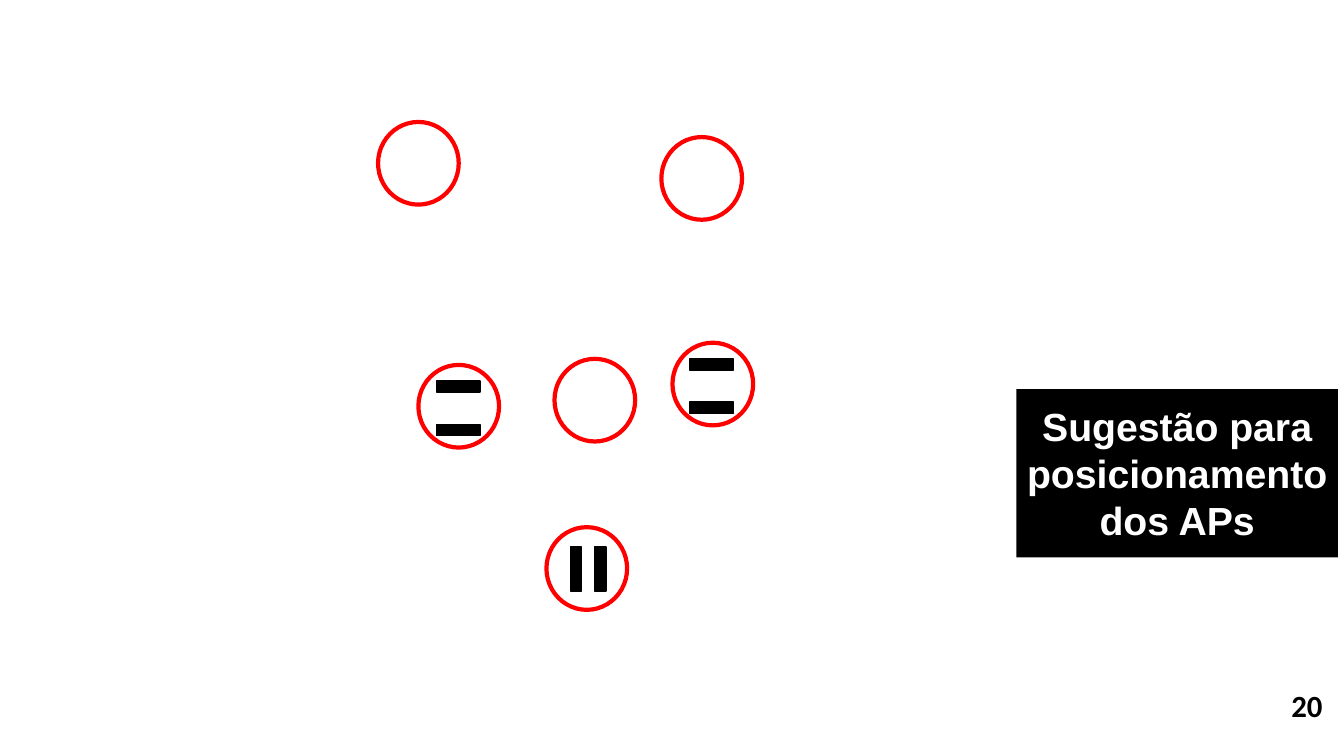
from pptx import Presentation
from pptx import util as u
from pptx.dml.color import RGBColor
from pptx.enum import shapes, text

RED = RGBColor(0xFF, 0, 0)
BLACK = RGBColor(0, 0, 0)
WHITE = RGBColor(0xFF, 0xFF, 0xFF)

RING = (0.8, 0.82)
BAR = (0.59, 0.47)
POINTS = [(4.15, 3.62), (6.67, 3.4), (5.42, 5.23),
          (3.75, 1.21), (5.5, 3.56), (6.56, 1.36)]
PAIRS = [
    {"start": (4.25, 3.6), "step": (0, 0.43), "turn": 180},
    {"start": (6.76, 3.38), "step": (0, 0.43), "turn": 180},
    {"start": (5.42, 5.41), "step": (0.24, 0), "turn": 270},
]
LABEL = {"box": (10.08, 3.86, 3.19, 1.67), "text": "Sugestão para posicionamento dos APs",
         "font": {"name": "Arial", "size": u.Pt(28), "bold": True}, "color": WHITE}
NUMBER = {"box": (12.71, 6.76, 0.79, 0.47), "text": "20",
          "font": {"name": "Calibri", "size": u.Pt(22), "bold": True}, "color": BLACK}

KIND = shapes.MSO_SHAPE


def place(box):
    return [u.Inches(side) for side in box]


def draw(slide, kind, box, fill=None, line=None, width=1):
    shape = slide.shapes.add_shape(kind, *place(box))
    shape.shadow.inherit = False
    if fill is None:
        shape.fill.background()
    else:
        shape.fill.solid()
        shape.fill.fore_color.rgb = fill
    if line is None:
        shape.line.fill.background()
    else:
        shape.line.color.rgb = line
        shape.line.width = u.Pt(width)
    return shape


def write(shape, item, align, frame):
    for key, value in frame.items():
        setattr(shape.text_frame, key, value)
    para = shape.text_frame.paragraphs[0]
    para.alignment = align
    run = para.add_run()
    run.text = item["text"]
    for key, value in item["font"].items():
        setattr(run.font, key, value)
    run.font.color.rgb = item["color"]


def main():
    deck = Presentation()
    deck.slide_width, deck.slide_height = u.Inches(13.33), u.Inches(7.5)
    slide = deck.slides.add_slide(deck.slide_layouts[6])

    for point in POINTS:
        draw(slide, KIND.OVAL, point + RING, line=RED, width=3)

    for pair in PAIRS:
        (left, top), (across, down) = pair["start"], pair["step"]
        for n in range(2):
            box = (left + n * across, top + n * down) + BAR
            bar = draw(slide, KIND.MATH_MINUS, box, BLACK, BLACK)
            bar.rotation = pair["turn"]

    label = draw(slide, KIND.RECTANGLE, LABEL["box"], BLACK)
    write(label, LABEL, text.PP_ALIGN.CENTER, {
        "word_wrap": True, "vertical_anchor": text.MSO_ANCHOR.MIDDLE,
        "margin_left": u.Inches(0.08), "margin_right": u.Inches(0.08)})

    number = slide.shapes.add_textbox(*place(NUMBER["box"]))
    write(number, NUMBER, text.PP_ALIGN.LEFT, {
        "word_wrap": True, "auto_size": text.MSO_AUTO_SIZE.SHAPE_TO_FIT_TEXT})

    deck.save("out.pptx")


if __name__ == "__main__":
    main()
